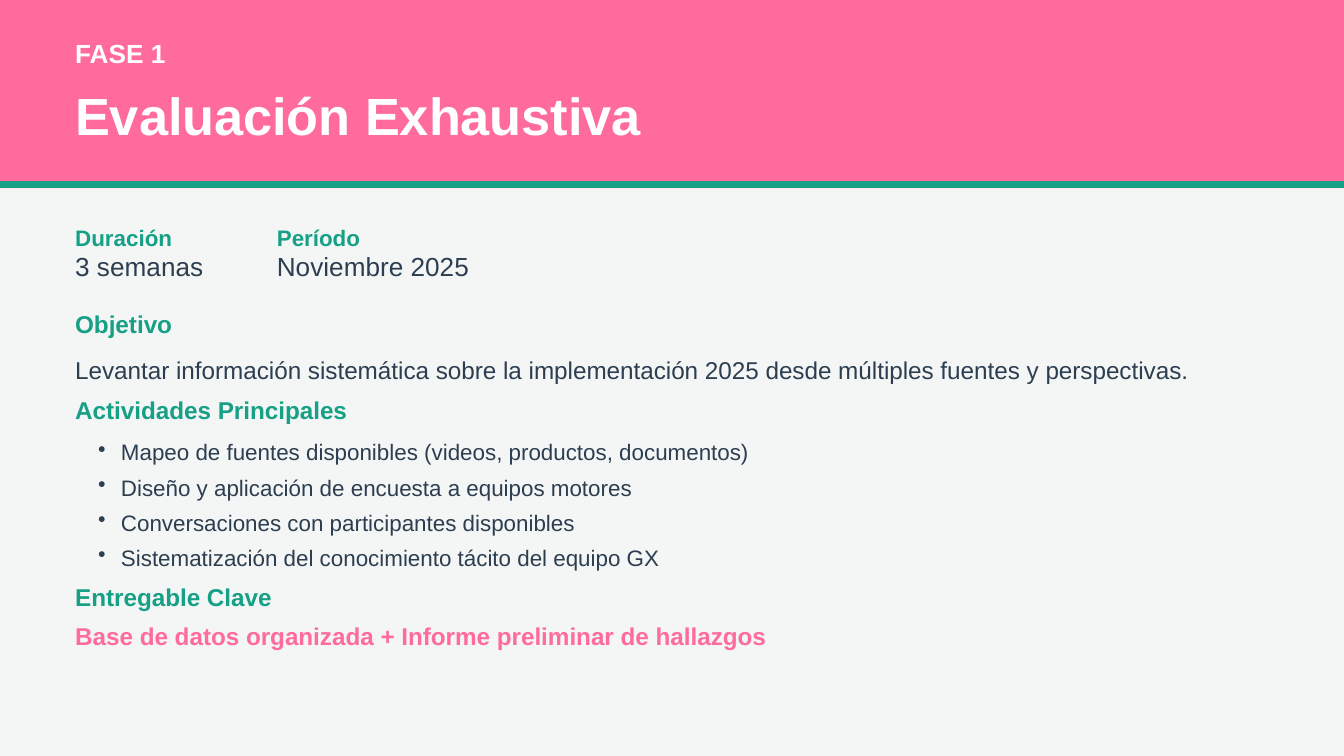
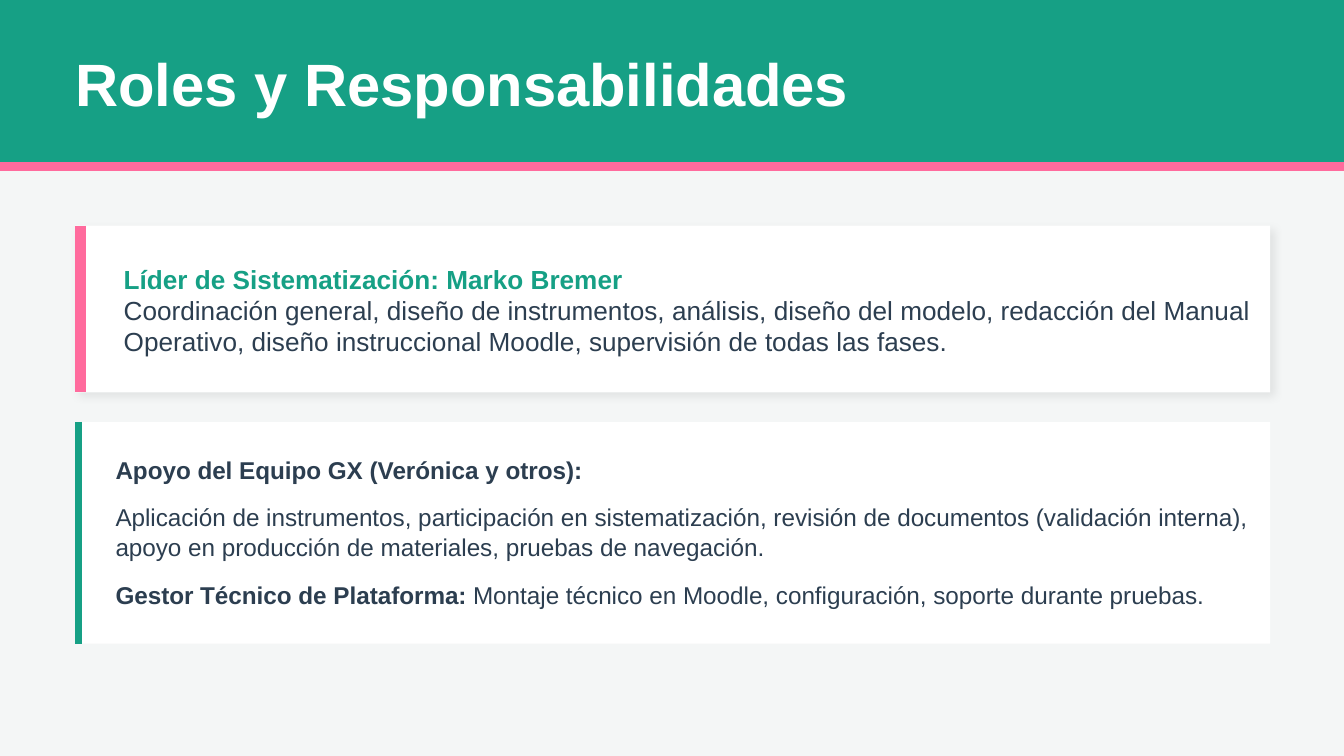
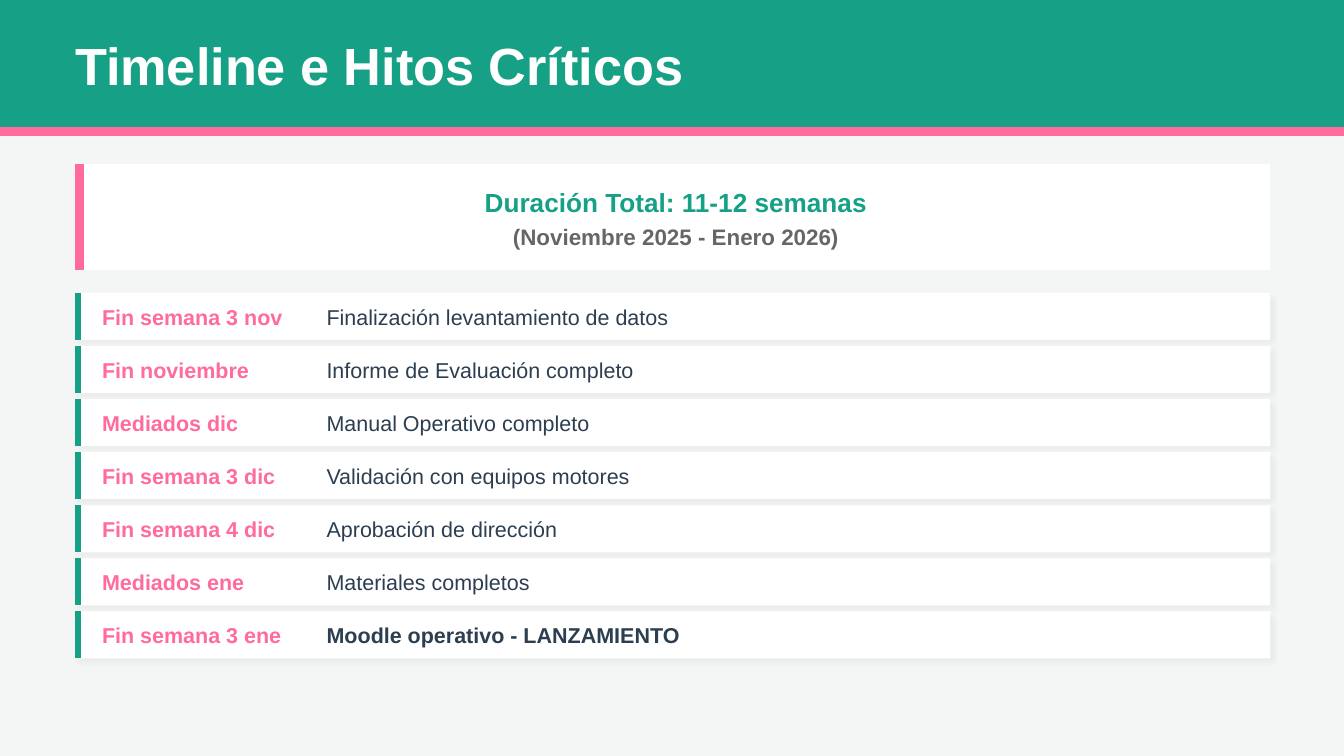
from dataclasses import dataclass

from lxml.etree import SubElement
from pptx import Presentation
from pptx.dml.color import RGBColor as Rgb
from pptx.enum.shapes import MSO_CONNECTOR as Connector
from pptx.enum.shapes import MSO_SHAPE as Shape
from pptx.enum.text import PP_ALIGN as Align
from pptx.oxml.ns import qn
from pptx.util import Inches, Pt


@dataclass(frozen=True)
class Theme:
    font: str = "Arial"
    pink: str = "FF6B9D"
    green: str = "16A085"
    ink: str = "2C3E50"
    grey: str = "666666"
    white: str = "FFFFFF"
    paper: str = "F4F6F6"
    shadow: str = "000000"
    hero: float = 32
    title: float = 28
    lead: float = 14
    body: float = 13
    small: float = 12
    row: float = 11.5


THEME = Theme()
PAGE_WIDTH = 10
PAGE_HEIGHT = PAGE_WIDTH * 9 / 16
LEFT = 0.56
TEXT_WIDTH = 9.07
CARD_WIDTH = 8.89

ACTIVITIES = [
    "Mapeo de fuentes disponibles (videos, productos, documentos)",
    "Diseño y aplicación de encuesta a equipos motores",
    "Conversaciones con participantes disponibles",
    "Sistematización del conocimiento tácito del equipo GX",
]

MILESTONES = [
    ("Fin semana 3 nov", "Finalización levantamiento de datos", 2.59),
    ("Fin noviembre", "Informe de Evaluación completo", 2.33),
    ("Mediados dic", "Manual Operativo completo", 1.99),
    ("Fin semana 3 dic", "Validación con equipos motores", 2.3),
    ("Fin semana 4 dic", "Aprobación de dirección", 1.75),
    ("Mediados ene", "Materiales completos", 1.54),
    ("Fin semana 3 ene", "Moodle operativo - LANZAMIENTO", 2.68),
]


def add_page(deck):
    page = deck.slides.add_slide(deck.slide_layouts[6])
    page.background.fill.solid()
    page.background.fill.fore_color.rgb = Rgb.from_string(THEME.paper)
    return page


def add_block(page, left, top, width, height, color):
    block = page.shapes.add_shape(
        Shape.RECTANGLE, Inches(left), Inches(top), Inches(width), Inches(height))
    block.shadow.inherit = False
    block.fill.solid()
    block.fill.fore_color.rgb = Rgb.from_string(color)
    block.line.fill.background()
    return block


def add_rule(page, start, end, color, points):
    rule = page.shapes.add_connector(
        Connector.STRAIGHT, *(Inches(value) for value in (*start, *end)))
    rule.line.color.rgb = Rgb.from_string(color)
    rule.line.width = Pt(points)
    SubElement(rule._element.spPr, qn("a:effectLst"))


def cast_shadow(block, opacity, blur):
    effects = block._element.spPr.find(qn("a:effectLst"))
    shadow = SubElement(effects, qn("a:outerShdw"), blurRad=str(Pt(blur)),
                        dist=str(Pt(2.1)), dir=str(45 * 60000), algn="bl", rotWithShape="0")
    color = SubElement(shadow, qn("a:srgbClr"), val=THEME.shadow)
    SubElement(color, qn("a:alpha"), val=str(opacity * 1000))


def add_box(page, left, top, width, height, inset=0):
    box = page.shapes.add_textbox(Inches(left), Inches(top), Inches(width), Inches(height))
    frame = box.text_frame
    frame.word_wrap = True
    frame.margin_left = Inches(inset)
    frame.margin_top = frame.margin_right = frame.margin_bottom = 0
    return frame


def style(para, size, color, bold=False):
    para.font.name = THEME.font
    para.font.size = Pt(size)
    para.font.bold = bold
    para.font.color.rgb = Rgb.from_string(color)


def add_text(page, text, left, top, width, height, size, color, bold=False,
             align=Align.LEFT, leading=None):
    para = add_box(page, left, top, width, height).paragraphs[0]
    para.add_run().text = text
    para.alignment = align
    if leading:
        para.line_spacing = Pt(leading)
    style(para, size, color, bold)
    return para


def add_bullets(page, items, left, top, width, height):
    frame = add_box(page, left, top, width, height, inset=0.17)
    for index, item in enumerate(items):
        para = frame.add_paragraph() if index else frame.paragraphs[0]
        para.add_run().text = item
        para.line_spacing = Pt(16.8)
        para.space_after = Pt(2)
        properties = para._p.get_or_add_pPr()
        properties.set("marL", str(Inches(0.17)))
        properties.set("indent", str(Inches(-0.17)))
        SubElement(properties, qn("a:buSzPct"), val="100000")
        SubElement(properties, qn("a:buChar"), char="•")
        style(para, THEME.small, THEME.ink)


def add_band(page, height, color, edge_color, edge_points):
    add_block(page, 0, 0, PAGE_WIDTH, height, color)
    middle = height - edge_points / 144
    add_rule(page, (0, middle), (PAGE_WIDTH, middle), edge_color, edge_points)


def add_title(page, text, top, height, size):
    add_text(page, text, LEFT, top, TEXT_WIDTH, height, size, THEME.white, True)


def add_card(page, top, height, edge_color, edge_points, shadow=None):
    card = add_block(page, LEFT, top, CARD_WIDTH, height, THEME.white)
    if shadow:
        cast_shadow(card, *shadow)
    middle = LEFT + edge_points / 144
    add_rule(page, (middle, top), (middle, top + height), edge_color, edge_points)


def add_fact(page, label, value, left, width):
    add_text(page, label, left, 1.67, width, 0.19, THEME.small, THEME.green, True)
    add_text(page, value, left, 1.86, width, 0.23, THEME.lead, THEME.ink)


def add_heading(page, text, top, color=THEME.green):
    add_text(page, text, LEFT, top, TEXT_WIDTH, 0.22, THEME.body, color, True)


def build_phase(deck):
    page = add_page(deck)
    add_band(page, 1.4, THEME.pink, THEME.green, 3.75)
    add_title(page, "FASE 1", 0.28, 0.23, THEME.lead)
    add_title(page, "Evaluación Exhaustiva", 0.62, 0.45, THEME.title)
    add_fact(page, "Duración", "3 semanas", LEFT, 0.97)
    add_fact(page, "Período", "Noviembre 2025", 2.06, 1.45)
    add_heading(page, "Objetivo", 2.3)
    add_text(page, "Levantar información sistemática sobre la implementación 2025 "
             "desde múltiples fuentes y perspectivas.",
             LEFT, 2.59, TEXT_WIDTH, 0.27, THEME.body, THEME.ink, leading=19.5)
    add_heading(page, "Actividades Principales", 2.94)
    add_bullets(page, ACTIVITIES, LEFT, 3.23, CARD_WIDTH, 1.02)
    add_heading(page, "Entregable Clave", 4.33)
    add_heading(page, "Base de datos organizada + Informe preliminar de hallazgos",
                4.62, THEME.pink)


def build_roles(deck):
    page = add_page(deck)
    add_band(page, 1.27, THEME.green, THEME.pink, 4.5)
    add_title(page, "Roles y Responsabilidades", 0.35, 0.51, THEME.hero)

    add_card(page, 1.68, 1.24, THEME.pink, 6, shadow=(8, 4.5))
    add_text(page, "Líder de Sistematización: Marko Bremer",
             0.92, 1.96, 8.42, 0.23, THEME.lead, THEME.green, True)
    add_text(page, "Coordinación general, diseño de instrumentos, análisis, diseño del modelo, "
             "redacción del Manual Operativo, diseño instruccional Moodle, "
             "supervisión de todas las fases.",
             0.92, 2.19, 8.42, 0.46, THEME.lead, THEME.ink)

    add_card(page, 3.14, 1.65, THEME.green, 3.75)
    add_text(page, "Apoyo del Equipo GX (Verónica y otros):",
             0.86, 3.39, 8.5, 0.22, THEME.body, THEME.ink, True)
    add_text(page, "Aplicación de instrumentos, participación en sistematización, revisión de "
             "documentos (validación interna), apoyo en producción de materiales, "
             "pruebas de navegación.",
             0.86, 3.74, 8.5, 0.44, THEME.body, THEME.ink)
    manager = add_text(page, "Gestor Técnico de Plataforma:",
                       0.86, 4.32, 8.5, 0.22, THEME.body, THEME.ink)
    manager.runs[0].font.bold = True
    manager.add_run().text = " Montaje técnico en Moodle, configuración, soporte durante pruebas."


def build_timeline(deck):
    page = add_page(deck)
    add_band(page, 1.01, THEME.green, THEME.pink, 4.5)
    add_title(page, "Timeline e Hitos Críticos", 0.25, 0.45, THEME.title)

    add_card(page, 1.22, 0.79, THEME.pink, 4.5)
    add_text(page, "Duración Total: 11-12 semanas", 0.7, 1.39, 8.66, 0.23,
             THEME.lead, THEME.green, True, Align.CENTER)
    add_text(page, "(Noviembre 2025 - Enero 2026)", 0.7, 1.66, 8.66, 0.19,
             THEME.small, THEME.grey, True, Align.CENTER)

    first_top, last_top = 2.18, 4.55
    last = len(MILESTONES) - 1
    for index, (date, milestone, width) in enumerate(MILESTONES):
        top = first_top + index * (last_top - first_top) / last
        add_card(page, top, 0.35, THEME.green, 3, shadow=(4, 2.2))
        add_text(page, date, 0.76, top + 0.08, 1.7, 0.19, THEME.row, THEME.pink, True)
        add_text(page, milestone, 2.43, top + 0.08, width, 0.19, THEME.row, THEME.ink,
                 bold=index == last)


def main():
    deck = Presentation()
    deck.slide_width = Inches(PAGE_WIDTH)
    deck.slide_height = Inches(PAGE_HEIGHT)
    build_phase(deck)
    build_roles(deck)
    build_timeline(deck)
    deck.save("out.pptx")


if __name__ == "__main__":
    main()
